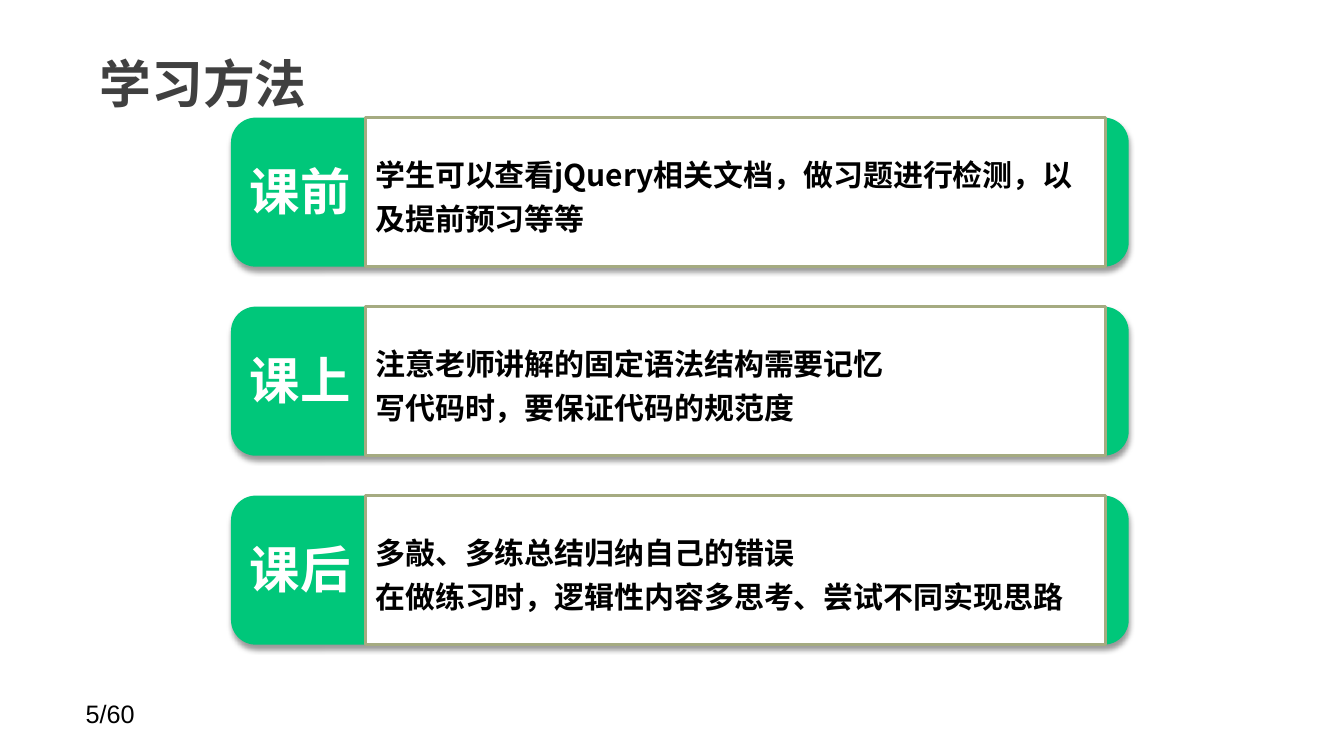
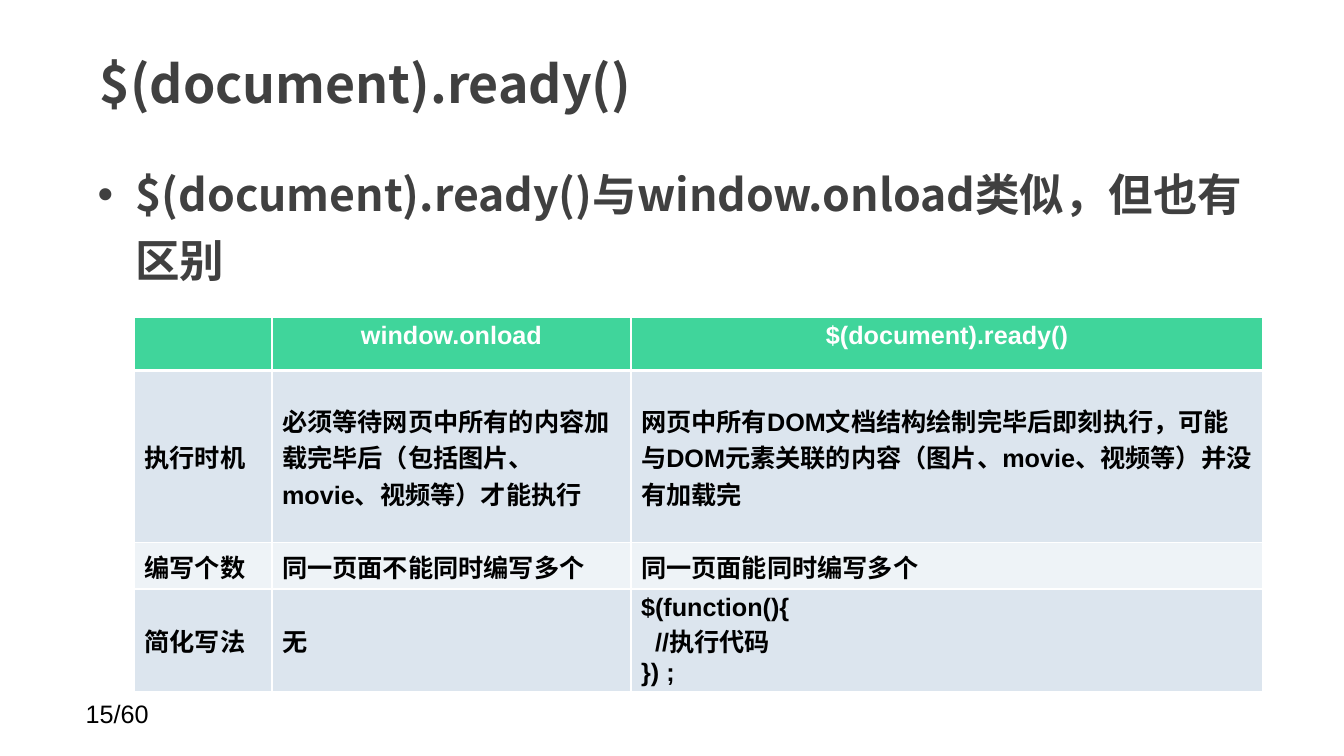
from lxml.etree import SubElement
from pptx import Presentation
from pptx.dml.color import RGBColor
from pptx.enum.shapes import MSO_SHAPE
from pptx.enum.text import MSO_ANCHOR, MSO_AUTO_SIZE, PP_ALIGN
from pptx.oxml.ns import qn
from pptx.util import Pt

PX = 9525  # EMU in one px, 96 px to the inch
COLORS = {
    "title": "404040", "text": "000000", "white": "FFFFFF", "band": "00C77A",
    "panel_line": "A5AB81", "accent": "40D59B", "row_dark": "DCE5EE",
    "row_light": "EEF3F7",
}
CJK_FONT = "Noto Sans CJK SC"
LATIN_FONT = "Arial"
LINE_SPACING = 1.24
SLIDE_COUNT = 60


def color(name):
    return RGBColor.from_string(COLORS[name])


def px(*lengths):
    return [length * PX for length in lengths]


def place(shape, box):
    shape.left, shape.top, shape.width, shape.height = px(*box)


def write(frame, lines, size, color_name, font=CJK_FONT, bold=True,
          align=PP_ALIGN.LEFT, spacing=None):
    """Fill a text frame with one paragraph for each line."""
    frame.text = "\n".join(lines)
    for paragraph in frame.paragraphs:
        paragraph.alignment = align
        paragraph.space_before = Pt(0)
        if spacing:
            paragraph.line_spacing = spacing
        paragraph.font.size = Pt(size)
        paragraph.font.bold = bold
        paragraph.font.color.rgb = color(color_name)
        paragraph.font.name = font
        defaults = paragraph._p.pPr.find(qn("a:defRPr"))
        SubElement(defaults, qn("a:ea"), typeface=CJK_FONT)


def set_margins(frame, horizontal, vertical):
    frame.margin_left = frame.margin_right = horizontal * PX
    frame.margin_top = frame.margin_bottom = vertical * PX


def add_text(slide, box, lines, size, color_name, anchor=MSO_ANCHOR.TOP, **style):
    frame = slide.shapes.add_textbox(*px(*box)).text_frame
    frame.word_wrap = True
    frame.vertical_anchor = anchor
    write(frame, lines, size, color_name, **style)


def fill_placeholder(placeholder, box, lines, size, anchor, **style):
    place(placeholder, box)
    frame = placeholder.text_frame
    frame.auto_size = MSO_AUTO_SIZE.NONE
    frame.vertical_anchor = anchor
    set_margins(frame, 12, 6)
    write(frame, lines, size, "title", **style)


def add_slide(presentation, layout_name, title, number):
    """Add a slide with the shared title and page number."""
    layout = presentation.slide_layouts.get_by_name(layout_name)
    slide = presentation.slides.add_slide(layout)
    fill_placeholder(slide.shapes.title, (83, 29, 999, 99), [title], 37,
                     MSO_ANCHOR.MIDDLE)
    add_text(slide, (72, 660, 224, 38), [f"{number}/{SLIDE_COUNT}"], 18, "text",
             font=LATIN_FONT, bold=False)
    return slide


def add_shadow(shape):
    effects = shape._element.spPr.find(qn("a:effectLst"))
    shadow = SubElement(effects, qn("a:outerShdw"), blurRad=str(Pt(4)),
                        dist=str(Pt(3)), dir="5400000", rotWithShape="0")
    shade = SubElement(shadow, qn("a:srgbClr"), val=COLORS["text"])
    SubElement(shade, qn("a:alpha"), val="40000")


def add_box(slide, preset, box, fill):
    shape = slide.shapes.add_shape(preset, *px(*box))
    shape.shadow.inherit = False
    shape.fill.solid()
    shape.fill.fore_color.rgb = color(fill)
    return shape


def add_stage(slide, box, label, lines):
    """A green band with a label on the left and a white panel of text."""
    left, top, width, height = box
    band = add_box(slide, MSO_SHAPE.ROUNDED_RECTANGLE, box, "band")
    band.line.fill.background()
    add_shadow(band)

    panel = add_box(slide, MSO_SHAPE.RECTANGLE,
                    (left + 128, top, width - 150, height), "white")
    panel.line.color.rgb = color("panel_line")
    panel.line.width = Pt(2)
    panel.text_frame.vertical_anchor = MSO_ANCHOR.MIDDLE
    write(panel.text_frame, lines, 21.4, "text", spacing=LINE_SPACING)

    add_text(slide, (left + 4, top + 35, 124, 68), [label], 36, "white",
             anchor=MSO_ANCHOR.MIDDLE, align=PP_ALIGN.CENTER)


def add_bullet(slide, box, text):
    body = slide.placeholders[1]
    # Bullet and hanging indent come before the font settings
    body.text_frame.text = text
    properties = body.text_frame.paragraphs[0]._p.get_or_add_pPr()
    properties.set("marL", str(64 * PX))
    properties.set("indent", str(-64 * PX))
    bullet_color = SubElement(properties, qn("a:buClr"))
    SubElement(bullet_color, qn("a:srgbClr"), val=COLORS["accent"])
    SubElement(properties, qn("a:buFont"), typeface="Wingdings")
    SubElement(properties, qn("a:buChar"), char="◆")
    fill_placeholder(body, box, [text], 31.8, MSO_ANCHOR.TOP,
                     spacing=LINE_SPACING)


def add_borders(cell, top, bottom):
    properties = cell._tc.get_or_add_tcPr()
    for side, width in (("L", 1), ("R", 1), ("T", top), ("B", bottom)):
        line = SubElement(properties, qn(f"a:ln{side}"), w=str(Pt(width)))
        fill = SubElement(line, qn("a:solidFill"))
        SubElement(fill, qn("a:srgbClr"), val=COLORS["white"])


def add_comparison(slide, left, top, widths, heights, rows):
    """A table with a green header and banded rows."""
    frame = slide.shapes.add_table(
        len(rows), len(widths), *px(left, top, sum(widths), sum(heights)))
    table = frame.table
    for column, width in zip(table.columns, widths):
        column.width = width * PX
    for row, height in zip(table.rows, heights):
        row.height = height * PX
    for row_index, texts in enumerate(rows):
        header = row_index == 0
        fill = "accent" if header else "row_dark" if row_index % 2 else "row_light"
        for column_index, text in enumerate(texts):
            cell = table.cell(row_index, column_index)
            add_borders(cell, 3 if row_index == 1 else 1, 3 if header else 1)
            cell.fill.solid()
            cell.fill.fore_color.rgb = color(fill)
            cell.vertical_anchor = MSO_ANCHOR.TOP if header else MSO_ANCHOR.MIDDLE
            write(cell.text_frame, text.split("\n"), 18,
                  "white" if header else "text", font=LATIN_FONT,
                  align=PP_ALIGN.CENTER if header else PP_ALIGN.LEFT)


def build_method_slide(presentation):
    slide = add_slide(presentation, "Title Only", "学习方法", 5)
    stages = [
        ("课前", ["学生可以查看jQuery相关文档，做习题进行检测，以及提前预习等等"]),
        ("课上", ["注意老师讲解的固定语法结构需要记忆",
                "写代码时，要保证代码的规范度"]),
        ("课后", ["多敲、多练总结归纳自己的错误",
                "在做练习时，逻辑性内容多思考、尝试不同实现思路"]),
    ]
    for index, (label, lines) in enumerate(stages):
        add_stage(slide, (220, 112 + 180 * index, 855, 142), label, lines)


def build_ready_slide(presentation):
    slide = add_slide(presentation, "Title and Content", "$(document).ready()", 15)
    add_bullet(slide, (81, 141, 1122, 506),
               "$(document).ready()与window.onload类似，但也有区别")
    rows = [
        ("", "window.onload", "$(document).ready()"),
        ("执行时机",
         "必须等待网页中所有的内容加载完毕后（包括图片、movie、视频等）才能执行",
         "网页中所有DOM文档结构绘制完毕后即刻执行，可能与DOM元素关联的内容"
         "（图片、movie、视频等）并没有加载完"),
        ("编写个数", "同一页面不能同时编写多个", "同一页面能同时编写多个"),
        ("简化写法", "无", "$(function(){\n  //执行代码\n}) ;"),
    ]
    add_comparison(slide, 128, 302, (131, 342, 602), (51, 164, 44, 98), rows)


def main():
    presentation = Presentation()
    presentation.slide_width, presentation.slide_height = px(1280, 720)
    build_method_slide(presentation)
    build_ready_slide(presentation)
    presentation.save("out.pptx")


if __name__ == "__main__":
    main()
